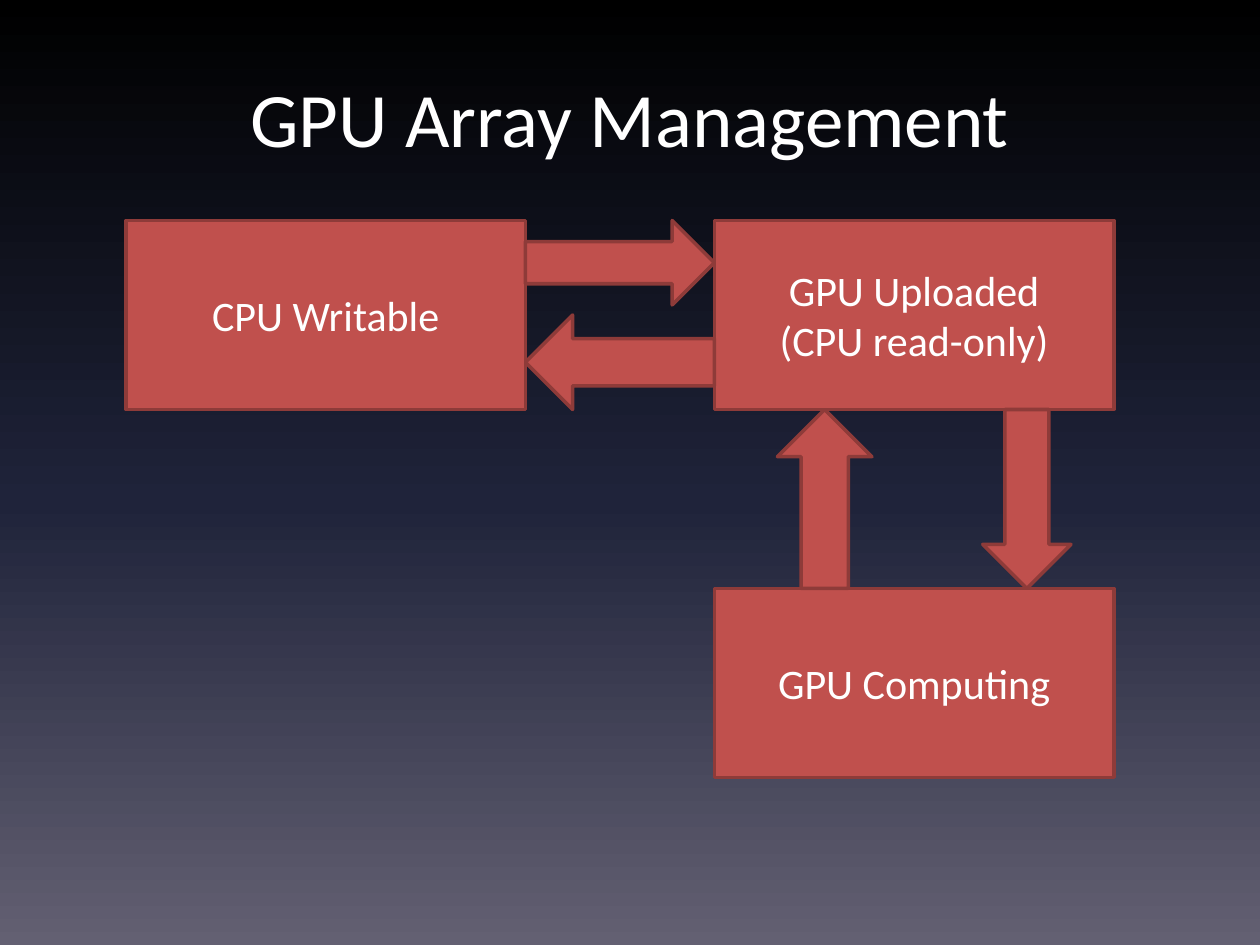
from dataclasses import dataclass

from pptx import Presentation
from pptx import util as u
from pptx.dml.color import RGBColor
from pptx.enum import shapes, text
from pptx.oxml import parse_xml
from pptx.oxml.ns import nsdecls

KIND = shapes.MSO_SHAPE


@dataclass(frozen=True)
class Theme:
    """Colours, font and sizes of the slide."""
    font: str = "Calibri"
    ink: str = "FFFFFF"
    fill: str = "C0504D"
    edge: str = "8E3B39"
    line: float = 2
    head: float = 44
    body: float = 24
    sky: tuple = ((0, "000000"), (53, "1F233A"), (100, "636072"))


@dataclass(frozen=True)
class Item:
    """A box or block arrow, in inches."""
    kind: KIND
    left: float
    top: float
    width: float
    height: float
    words: str = ""


THEME = Theme()
WIDE, HIGH = 3.17, 1.5
LEFT, RIGHT = 1, 5.67
TOP, LOW = 1.75, 4.67
EDGE, BASE = LEFT + WIDE, TOP + HIGH
GAP, DROP = RIGHT - EDGE, LOW - BASE

ITEMS = (
    Item(KIND.RECTANGLE, LEFT, TOP, WIDE, HIGH, "CPU Writable"),
    Item(KIND.RECTANGLE, RIGHT, TOP, WIDE, HIGH, "GPU Uploaded\n(CPU read-only)"),
    Item(KIND.RECTANGLE, RIGHT, LOW, WIDE, HIGH, "GPU Computing"),
    Item(KIND.RIGHT_ARROW, EDGE, TOP, GAP, 0.67),
    Item(KIND.LEFT_ARROW, EDGE, 2.5, GAP, 0.75),
    Item(KIND.UP_ARROW, 6.17, BASE, 0.75, DROP),
    Item(KIND.DOWN_ARROW, 7.8, BASE, 0.7, DROP),
)


def write(shape, words: str, size: float = THEME.body, color: str = THEME.ink) -> None:
    """Put centred text into a shape, one paragraph a line."""
    frame = shape.text_frame
    frame.text = words
    frame.word_wrap = True
    frame.vertical_anchor = text.MSO_ANCHOR.MIDDLE
    for para in frame.paragraphs:
        para.alignment = text.PP_ALIGN.CENTER
        font = para.runs[0].font
        font.name, font.size = THEME.font, u.Pt(size)
        font.color.rgb = RGBColor.from_string(color)


def place(shape, left: float, top: float, width: float, height: float) -> None:
    """Move and size a shape."""
    shape.left, shape.top = u.Inches(left), u.Inches(top)
    shape.width, shape.height = u.Inches(width), u.Inches(height)


def draw(slide, item: Item) -> None:
    """Add one box or arrow."""
    spot = map(u.Inches, (item.left, item.top, item.width, item.height))
    shape = slide.shapes.add_shape(item.kind, *spot)
    shape.shadow.inherit = False
    shape.fill.solid()
    shape.fill.fore_color.rgb = RGBColor.from_string(THEME.fill)
    shape.line.color.rgb = RGBColor.from_string(THEME.edge)
    shape.line.width = u.Pt(THEME.line)
    if item.words:
        write(shape, item.words)


def shade(slide) -> None:
    """Fill the background with the theme's vertical gradient."""
    stops = "".join(
        f'<a:gs pos="{pos * 1000}"><a:srgbClr val="{color}"/></a:gs>'
        for pos, color in THEME.sky
    )
    back = parse_xml(
        f'<p:bg {nsdecls("p", "a")}><p:bgPr><a:gradFill rotWithShape="1">'
        f'<a:gsLst>{stops}</a:gsLst><a:lin ang="5400000" scaled="0"/>'
        "</a:gradFill><a:effectLst/></p:bgPr></p:bg>"
    )
    slide.element.cSld.insert(0, back)


def main() -> None:
    """Build and save the slide."""
    deck = Presentation()
    deck.slide_width, deck.slide_height = u.Inches(10), u.Inches(7.5)
    slide = deck.slides.add_slide(deck.slide_layouts.get_by_name("Title Only"))
    shade(slide)
    title = slide.shapes.title
    place(title, 0.5, 0.3, 9, 1.25)
    write(title, "GPU Array Management", size=THEME.head)
    for item in ITEMS:
        draw(slide, item)
    deck.save("out.pptx")


main()
